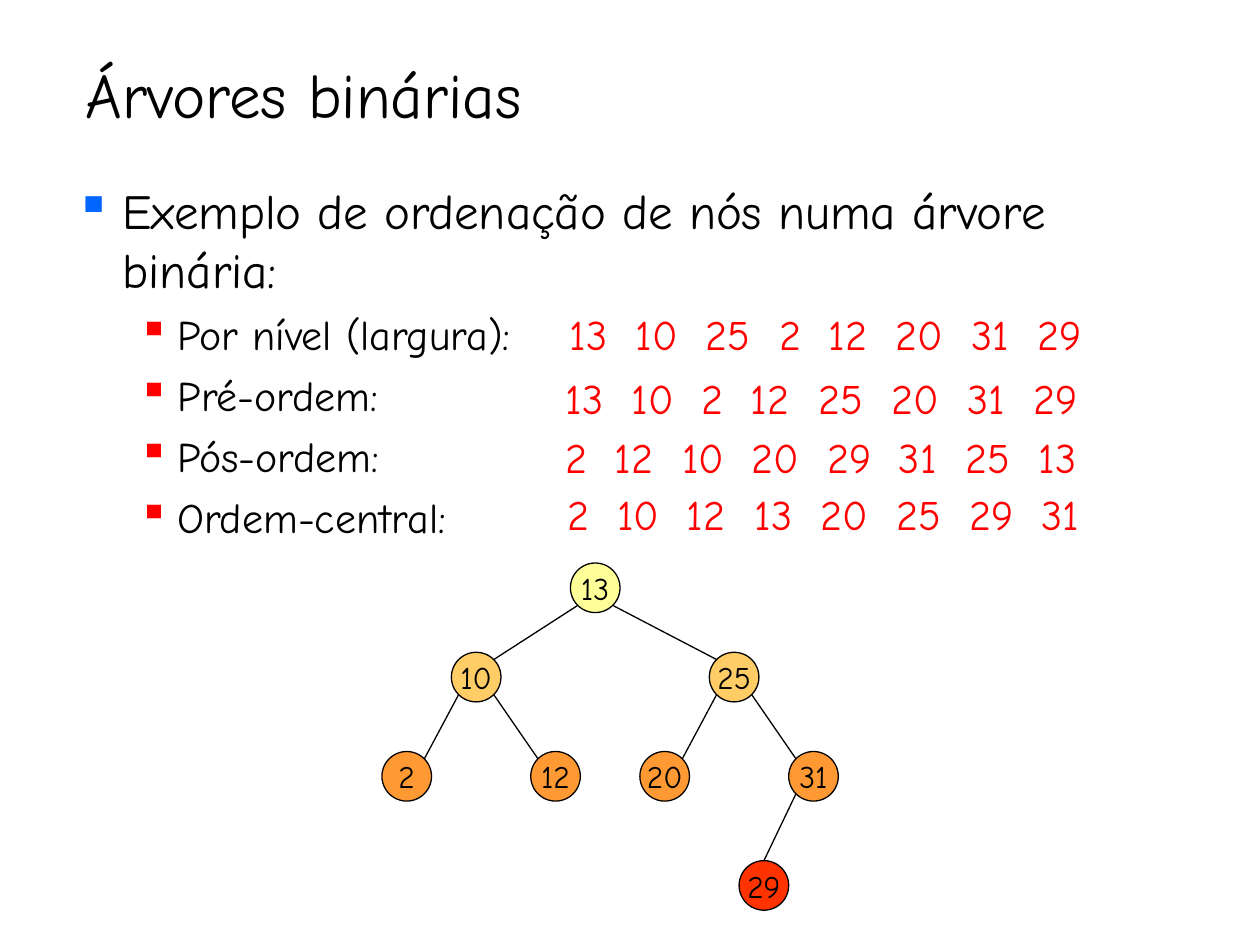
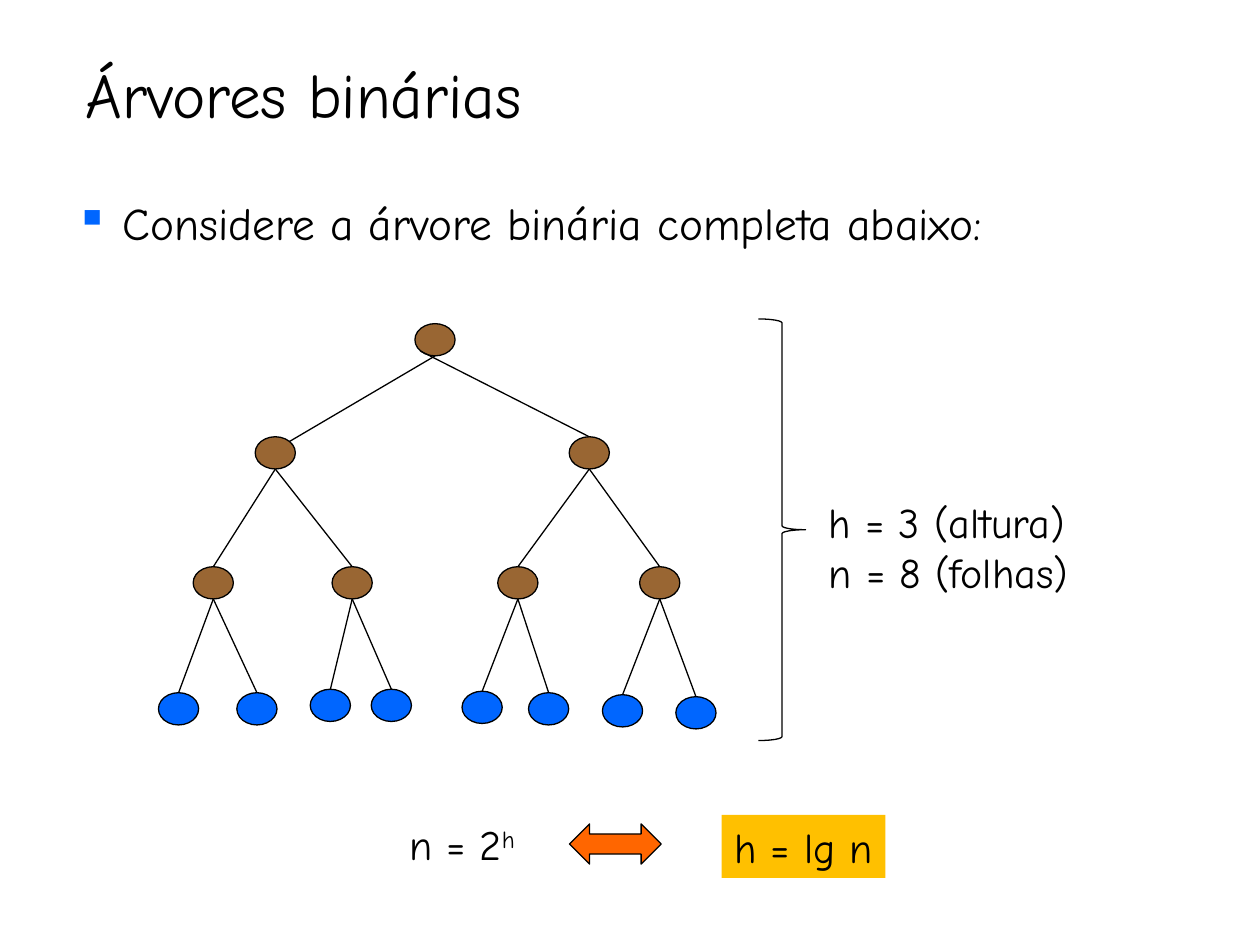
import dataclasses
import itertools

import lxml.etree
import pptx
import pptx.dml.color
import pptx.enum.shapes
import pptx.enum.text
import pptx.oxml.ns
import pptx.util

Cm = pptx.util.Cm
MSO_SHAPE = pptx.enum.shapes.MSO_SHAPE
ALIGN = pptx.enum.text.PP_ALIGN
ANCHOR = pptx.enum.text.MSO_ANCHOR

FONT = "Comic Neue"
BLACK = "000000"
RED = "FF0000"
BLUE = "0066FF"
YELLOW = "FFFF99"
LIGHT_ORANGE = "FFCC66"
ORANGE = "FF9933"
BROWN = "996633"
TITLE = "Árvores binárias"

DIAGONAL = 0.71
TOP, BOTTOM = (0, -1), (0, 1)
TOP_LEFT, TOP_RIGHT = (-DIAGONAL, -DIAGONAL), (DIAGONAL, -DIAGONAL)
BOTTOM_LEFT, BOTTOM_RIGHT = (-DIAGONAL, DIAGONAL), (DIAGONAL, DIAGONAL)


@dataclasses.dataclass
class Box:
    left: float
    top: float
    width: float
    height: float

    def lengths(self) -> list:
        return [Cm(value) for value in dataclasses.astuple(self)]


@dataclasses.dataclass
class Node:
    x: float
    y: float
    fill: str
    label: str = ""
    parent: int | None = None
    start: tuple = BOTTOM
    end: tuple = TOP


@dataclasses.dataclass
class Bullet:
    text: str
    size: float
    level: int = 0


@dataclasses.dataclass
class BulletStyle:
    color: str
    margin: float
    indent: float
    space_before: float


@dataclasses.dataclass
class Traversal:
    left: float
    top: float
    keys: str


BULLET_STYLES = [BulletStyle(BLUE, 0.95, -0.95, 7), BulletStyle(RED, 2.06, -0.79, 6)]

KEY_ADVANCES = {"2": 0.99, "10": 1.41, "12": 1.36, "13": 1.34, "20": 1.52,
                "25": 1.48, "29": 1.44, "31": 1.34}

SEARCH_TREE = [
    Node(12, 11.85, YELLOW, "13"),
    Node(9.6, 13.65, LIGHT_ORANGE, "10", 0, BOTTOM_LEFT, TOP_RIGHT),
    Node(14.8, 13.65, LIGHT_ORANGE, "25", 0, BOTTOM_RIGHT, TOP_LEFT),
    Node(8.2, 15.65, ORANGE, "2", 1, BOTTOM_LEFT, TOP_RIGHT),
    Node(11.2, 15.65, ORANGE, "12", 1, BOTTOM_RIGHT, TOP_LEFT),
    Node(13.4, 15.65, ORANGE, "20", 2, BOTTOM_LEFT, TOP_RIGHT),
    Node(16.4, 15.65, ORANGE, "31", 2, BOTTOM_RIGHT, TOP_LEFT),
    Node(15.4, 17.85, "FF3300", "29", 6, BOTTOM_LEFT, TOP),
]

TRAVERSALS = [
    Traversal(11.23, 6.1, "13 10 25 2 12 20 31 29"),
    Traversal(11.15, 7.39, "13 10 2 12 25 20 31 29"),
    Traversal(11.15, 8.57, "2 12 10 20 29 31 25 13"),
    Traversal(11.2, 9.73, "2 10 12 13 20 25 29 31"),
]

INNER_CENTRES = [(8.77, 6.85), (5.55, 9.13), (11.88, 9.13),
                 (4.3, 11.75), (7.1, 11.75), (10.44, 11.75), (13.3, 11.75)]
LEAF_CENTRES = [(3.6, 14.29), (5.18, 14.29), (6.66, 14.22), (7.89, 14.22),
                (9.72, 14.26), (11.06, 14.29), (12.55, 14.33), (14.03, 14.37)]


def rgb(color: str) -> pptx.dml.color.RGBColor:
    return pptx.dml.color.RGBColor.from_string(color)


def format_runs(paragraph, size: float, color: str = BLACK) -> None:
    for run in paragraph.runs:
        run.font.name = FONT
        run.font.size = pptx.util.Pt(size)
        run.font.color.rgb = rgb(color)


def add_element(parent, tag: str, **attributes: str):
    element = lxml.etree.SubElement(parent, pptx.oxml.ns.qn(tag))
    for name, value in attributes.items():
        element.set(name, value)
    return element


def set_line(line) -> None:
    line.color.rgb = rgb(BLACK)
    line.width = pptx.util.Pt(0.75)


def add_titled_slide(presentation, title_width: float):
    slide = presentation.slides.add_slide(presentation.slide_layouts[5])
    title = slide.shapes.title
    title.left, title.top, title.width, title.height = Box(1.47, 1.07, title_width, 1.7).lengths()
    frame = title.text_frame
    frame.text = TITLE
    frame.vertical_anchor = ANCHOR.BOTTOM
    frame.paragraphs[0].alignment = ALIGN.LEFT
    format_runs(frame.paragraphs[0], 36)
    return slide


def add_text(slide, box: Box, lines: list[str], size: float = 24, color: str = BLACK):
    shape = slide.shapes.add_textbox(*box.lengths())
    frame = shape.text_frame
    frame.word_wrap = True
    frame.text = "\n".join(lines)
    for paragraph in frame.paragraphs:
        format_runs(paragraph, size, color)
    return shape


def add_bullets(slide, box: Box, bullets: list[Bullet]) -> None:
    shape = add_text(slide, box, [bullet.text for bullet in bullets])
    for position, (paragraph, bullet) in enumerate(zip(shape.text_frame.paragraphs, bullets)):
        style = BULLET_STYLES[bullet.level]
        properties = paragraph._p.get_or_add_pPr()
        properties.set("marL", str(Cm(style.margin)))
        properties.set("indent", str(Cm(style.indent)))
        add_element(add_element(properties, "a:buClr"), "a:srgbClr", val=style.color)
        add_element(properties, "a:buChar", char="▪")
        paragraph.level = bullet.level
        if position:
            paragraph.space_before = pptx.util.Pt(style.space_before)
        format_runs(paragraph, bullet.size)


def add_traversal(slide, traversal: Traversal) -> None:
    keys = traversal.keys.split()
    box = Box(traversal.left, traversal.top, 11.4, 1.27)
    shape = add_text(slide, box, ["\t".join(keys)], color=RED)
    properties = shape.text_frame.paragraphs[0]._p.get_or_add_pPr()
    tabs = add_element(properties, "a:tabLst")
    for stop in itertools.accumulate(KEY_ADVANCES[key] for key in keys[:-1]):
        add_element(tabs, "a:tab", pos=str(Cm(stop)), algn="l")


def add_outlined_shape(slide, kind, box: Box, fill: str | None):
    shape = slide.shapes.add_shape(kind, *box.lengths())
    shape.shadow.inherit = False
    if fill:
        shape.fill.solid()
        shape.fill.fore_color.rgb = rgb(fill)
    else:
        shape.fill.background()
    set_line(shape.line)
    return shape


def add_edge(slide, parent: Node, child: Node, width: float, height: float) -> None:
    ends = []
    for node, (across, down) in ((parent, child.start), (child, child.end)):
        ends += [Cm(node.x + across * width / 2), Cm(node.y + down * height / 2)]
    edge = slide.shapes.add_connector(pptx.enum.shapes.MSO_CONNECTOR.STRAIGHT, *ends)
    set_line(edge.line)
    add_element(edge._element.spPr, "a:effectLst")


def add_tree(slide, nodes: list[Node], width: float, height: float) -> None:
    for node in nodes:
        box = Box(node.x - width / 2, node.y - height / 2, width, height)
        shape = add_outlined_shape(slide, MSO_SHAPE.OVAL, box, node.fill)
        if node.label:
            frame = shape.text_frame
            frame.word_wrap = False
            frame.vertical_anchor = ANCHOR.MIDDLE
            frame.text = node.label
            frame.paragraphs[0].alignment = ALIGN.CENTER
            format_runs(frame.paragraphs[0], 18)
        if node.parent is not None:
            add_edge(slide, nodes[node.parent], node, width, height)


def complete_tree() -> list[Node]:
    nodes = []
    for index, (x, y) in enumerate(INNER_CENTRES + LEAF_CENTRES):
        fill = BROWN if index < len(INNER_CENTRES) else BLUE
        parent = (index - 1) // 2 if index else None
        nodes.append(Node(x, y, fill, parent=parent))
    nodes[1].end = TOP_RIGHT
    nodes[2].start = BOTTOM_LEFT
    return nodes


def build_traversal_slide(presentation) -> None:
    slide = add_titled_slide(presentation, 21.64)
    orders = ["Por nível (largura):", "Pré-ordem:", "Pós-ordem:", "Ordem-central:"]
    heading = Bullet("Exemplo de ordenação de nós numa árvore binária:", 28)
    add_bullets(slide, Box(1.27, 3.51, 23.29, 7.62),
                [heading] + [Bullet(order, 24, 1) for order in orders])
    add_tree(slide, SEARCH_TREE, 1, 1)
    for traversal in TRAVERSALS:
        add_traversal(slide, traversal)


def build_height_slide(presentation) -> None:
    slide = add_titled_slide(presentation, 22.28)
    add_tree(slide, complete_tree(), 0.81, 0.65)
    add_outlined_shape(slide, MSO_SHAPE.RIGHT_BRACE, Box(15.29, 6.43, 0.95, 8.5), None)
    add_text(slide, Box(16.46, 9.88, 6.2, 2.29), ["h = 3 (altura)", "n = 8 (folhas)"])

    height_formula = add_text(slide, Box(14.55, 16.43, 3.3, 1.27), ["h = lg n"])
    height_formula.text_frame.word_wrap = False
    height_formula.fill.solid()
    height_formula.fill.fore_color.rgb = rgb("FFC000")

    leaf_formula = add_text(slide, Box(8, 16.38, 2.64, 1.27), ["n = 2"])
    leaf_formula.text_frame.word_wrap = False
    paragraph = leaf_formula.text_frame.paragraphs[0]
    exponent = paragraph.add_run()
    exponent.text = "h"
    exponent._r.get_or_add_rPr().set("baseline", "30000")
    format_runs(paragraph, 24)

    add_bullets(slide, Box(1.27, 3.81, 23.29, 1.42),
                [Bullet("Considere a árvore binária completa abaixo:", 25.9)])
    add_outlined_shape(slide, MSO_SHAPE.LEFT_RIGHT_ARROW, Box(11.48, 16.61, 1.85, 0.81), "FF6600")


def main() -> None:
    presentation = pptx.Presentation()
    presentation.slide_width, presentation.slide_height = Cm(25.4), Cm(19.05)
    build_traversal_slide(presentation)
    build_height_slide(presentation)
    presentation.save("out.pptx")


if __name__ == "__main__":
    main()
